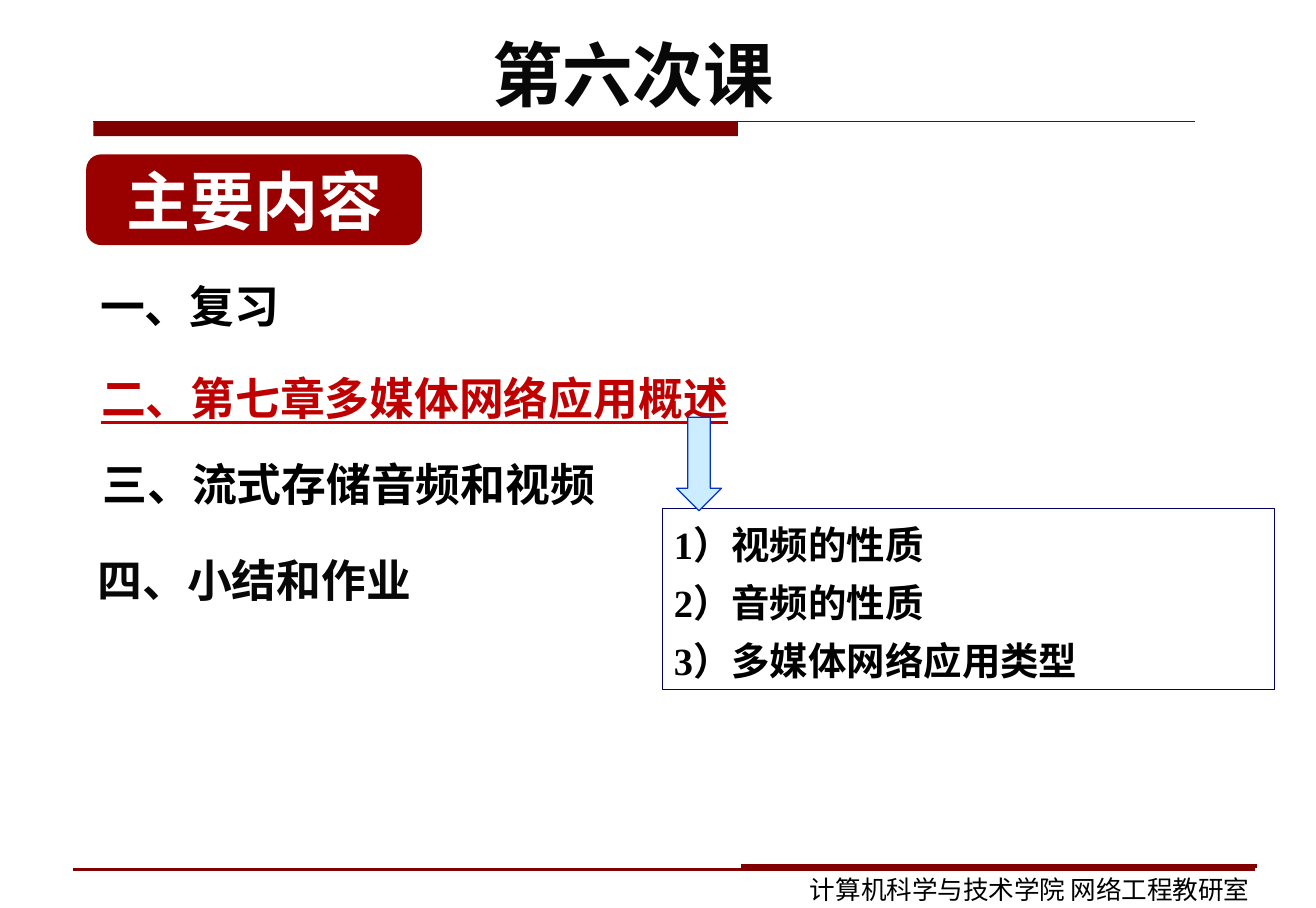
import dataclasses

import pptx
import pptx.dml.color
import pptx.enum.shapes
import pptx.enum.text
import pptx.oxml
import pptx.oxml.ns
import pptx.util

Cm = pptx.util.Cm
Pt = pptx.util.Pt
SHAPE = pptx.enum.shapes.MSO_SHAPE
ALIGN = pptx.enum.text.PP_ALIGN
ANCHOR = pptx.enum.text.MSO_ANCHOR


@dataclasses.dataclass(frozen=True)
class Theme:
    rule: str = "800000"
    badge: str = "990000"
    accent: str = "C00000"
    ink: str = "000000"
    soft_ink: str = "080808"
    white: str = "FFFFFF"
    arrow_fill: str = "CCECFF"
    arrow_line: str = "0033CC"
    frame: str = "000066"
    sans: str = "Arial"
    serif: str = "Times New Roman"
    chinese: str = "Noto Sans CJK SC"
    title_size: int = 44
    badge_size: int = 40
    item_size: int = 28
    detail_size: int = 24
    footer_size: int = 16


def colour(value):
    return pptx.dml.color.RGBColor.from_string(value)


def make_element(tag, **attributes):
    element = pptx.oxml.parse_xml(f"<{tag} {pptx.oxml.ns.nsdecls('a')}/>")
    for name, value in attributes.items():
        element.set(name, value)
    return element


class PageBuilder:
    def __init__(self, page, theme):
        self.page = page
        self.theme = theme

    def fill_text(self, box, lines, size, font, ink, *, bold=True, underline=None,
                  align=ALIGN.LEFT, anchor=ANCHOR.TOP, spacing=1.0, gap=0, wrap=True):
        frame = box.text_frame
        frame_format = {
            "word_wrap": wrap, "vertical_anchor": anchor,
            "auto_size": pptx.enum.text.MSO_AUTO_SIZE.NONE,
            "margin_left": Cm(0.25), "margin_right": Cm(0.25),
            "margin_top": Cm(0.13), "margin_bottom": Cm(0.13),
        }
        for name, value in frame_format.items():
            setattr(frame, name, value)
        for index, line in enumerate(lines):
            para = frame.add_paragraph() if index else frame.paragraphs[0]
            para_format = {"alignment": align, "line_spacing": spacing,
                           "space_before": Pt(gap if index else 0)}
            for name, value in para_format.items():
                setattr(para, name, value)
            span = para.add_run()
            span.text = line
            span_format = {"size": Pt(size), "name": font, "bold": bold,
                           "underline": underline}
            for name, value in span_format.items():
                setattr(span.font, name, value)
            span.font.color.rgb = colour(ink)
            # East Asian typeface follows the latin one
            latin = span.font._element.find(pptx.oxml.ns.qn("a:latin"))
            latin.addnext(make_element("a:ea", typeface=self.theme.chinese))

    def placeholder(self, index, left, top, width, height, lines, size, font,
                    ink, **style):
        box = self.page.placeholders[index]
        place = {"left": left, "top": top, "width": width, "height": height}
        for name, value in place.items():
            setattr(box, name, Cm(value))
        self.fill_text(box, lines, size, font, ink, **style)
        return box

    def text(self, left, top, width, height, line, size, font, ink, **style):
        box = self.page.shapes.add_textbox(Cm(left), Cm(top), Cm(width), Cm(height))
        self.fill_text(box, [line], size, font, ink, **style)

    def shape(self, kind, left, top, width, height, fill, line=None):
        box = self.page.shapes.add_shape(
            kind, Cm(left), Cm(top), Cm(width), Cm(height))
        box.shadow.inherit = False
        box.fill.solid()
        box.fill.fore_color.rgb = colour(fill)
        if line:
            self.outline(box, line, 0.75)
        else:
            box.line.fill.background()
        return box

    def outline(self, box, ink, weight):
        box.line.color.rgb = colour(ink)
        box.line.width = Pt(weight)

    def rule(self, start, end, height, weight):
        line = self.page.shapes.add_connector(
            pptx.enum.shapes.MSO_CONNECTOR.STRAIGHT,
            Cm(start), Cm(height), Cm(end), Cm(height))
        self.outline(line, self.theme.rule, weight)
        line._element.spPr.append(make_element("a:effectLst"))


def main():
    theme = Theme()
    deck = pptx.Presentation()
    deck.slide_width, deck.slide_height = Cm(29), Cm(20)
    page = deck.slides.add_slide(deck.slide_layouts[1])
    builder = PageBuilder(page, theme)

    # Title with its rule
    builder.placeholder(0, 4.16, 0.61, 19.58, 2, ["第六次课"], theme.title_size,
                        theme.chinese, theme.soft_ink, align=ALIGN.CENTER,
                        anchor=ANCHOR.MIDDLE)
    builder.shape(SHAPE.RECTANGLE, 2.06, 2.67, 14.2, 0.33, theme.rule)
    builder.rule(2.06, 26.33, 2.67, 0.75)

    # Section badge
    badge = builder.shape(SHAPE.ROUNDED_RECTANGLE, 1.9, 3.4, 7.4, 2, theme.badge)
    builder.fill_text(badge, ["主要内容"], theme.badge_size, theme.sans, theme.white,
                      align=ALIGN.CENTER, anchor=ANCHOR.MIDDLE, wrap=False)

    # Agenda, with the current chapter underlined
    agenda = [
        (1.96, 5.77, "一、复习", theme.ink, None),
        (1.98, 7.8, "二、第七章多媒体网络应用概述", theme.accent, True),
        (2.01, 9.7, "三、流式存储音频和视频", theme.ink, None),
        (1.9, 11.81, "四、小结和作业", theme.soft_ink, None),
    ]
    for left, top, item, ink, underline in agenda:
        builder.text(left, top, 20.6, 1.68, item, theme.item_size, theme.serif,
                     ink, underline=underline, spacing=1.2)

    # Chapter details
    builder.shape(SHAPE.DOWN_ARROW, 14.91, 9.19, 0.99, 2.06,
                  theme.arrow_fill, theme.arrow_line)
    details = builder.placeholder(
        1, 14.6, 11.2, 13.49, 3.99,
        ["1）视频的性质", "2）音频的性质", "3）多媒体网络应用类型"],
        theme.detail_size, theme.serif, theme.ink, spacing=1.15, gap=3)
    builder.outline(details, theme.frame, 0.75)
    for para in details.text_frame.paragraphs:
        properties = para._p.get_or_add_pPr()
        properties.set("marL", "0")
        properties.set("indent", "0")
        properties.append(make_element("a:buNone"))

    # Footer
    builder.rule(1.6, 27.66, 19.15, 1.5)
    builder.rule(16.33, 27.71, 19.08, 2.25)
    builder.text(17.6, 19.13, 10.67, 0.87, "计算机科学与技术学院 网络工程教研室",
                 theme.footer_size, theme.sans, theme.ink, bold=False)

    deck.save("out.pptx")


if __name__ == "__main__":
    main()
